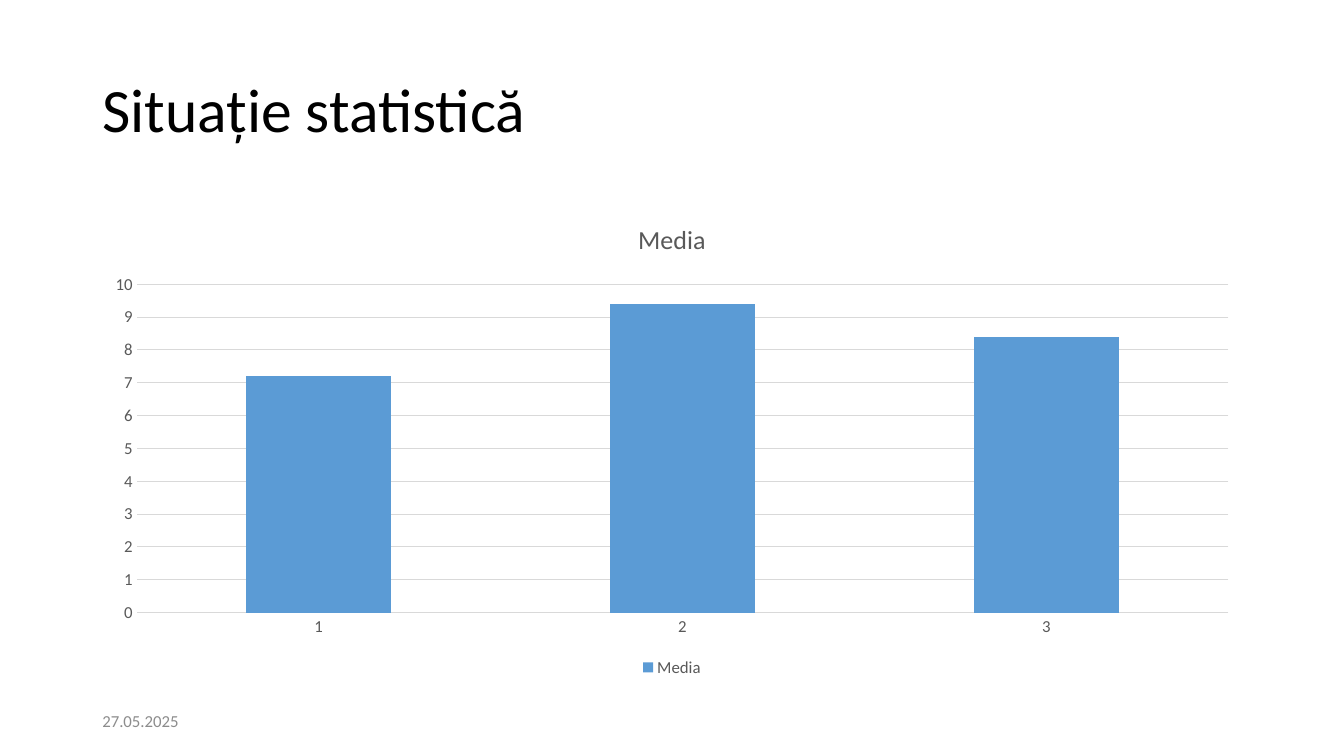
import pptx
import pptx.chart.data
import pptx.dml.color
import pptx.enum.chart
import pptx.enum.text
import pptx.util

PX = 9525  # EMU per px, 96 px to the inch
FONT = "Calibri"
BLACK = pptx.dml.color.RGBColor(0x00, 0x00, 0x00)
DARK_GRAY = pptx.dml.color.RGBColor(0x59, 0x59, 0x59)
DATE_GRAY = pptx.dml.color.RGBColor(0x8C, 0x8C, 0x8C)
GRID_GRAY = pptx.dml.color.RGBColor(0xD9, 0xD9, 0xD9)
BLUE = pptx.dml.color.RGBColor(0x5B, 0x9B, 0xD5)
LEFT, WIDTH = 88, 1104


def style_font(font, size, color):
    font.name = FONT
    font.size = pptx.util.Pt(size)
    font.bold = False
    font.color.rgb = color


def write_line(shape, text, size, color):
    """Set one left-aligned, vertically centred line of text."""
    frame = shape.text_frame
    frame.text = text
    frame.word_wrap = True
    frame.auto_size = pptx.enum.text.MSO_AUTO_SIZE.NONE
    frame.vertical_anchor = pptx.enum.text.MSO_ANCHOR.MIDDLE
    paragraph = frame.paragraphs[0]
    paragraph.alignment = pptx.enum.text.PP_ALIGN.LEFT
    style_font(paragraph.runs[0].font, size, color)


presentation = pptx.Presentation()
presentation.slide_width = 1280 * PX
presentation.slide_height = 720 * PX
slide = presentation.slides.add_slide(presentation.slide_layouts[5])

# Title
title = slide.shapes.title
title.left, title.top = LEFT * PX, 38 * PX
title.width, title.height = WIDTH * PX, 139 * PX
write_line(title, "Situație statistică", 44, BLACK)
title.text_frame.paragraphs[0].line_spacing = 0.9

# Chart
chart_data = pptx.chart.data.CategoryChartData()
chart_data.categories = ["1", "2", "3"]
chart_data.add_series("Media", [7.2, 9.4, 8.4])
chart = slide.shapes.add_chart(
    pptx.enum.chart.XL_CHART_TYPE.COLUMN_CLUSTERED,
    LEFT * PX, 192 * PX, WIDTH * PX, 457 * PX, chart_data,
).chart
style_font(chart.font, 10, BLACK)

chart.has_title = True
chart.chart_title.include_in_layout = False
chart.chart_title.text_frame.text = "Media"
style_font(chart.chart_title.text_frame.paragraphs[0].runs[0].font, 18.6, DARK_GRAY)

chart.has_legend = True
chart.legend.position = pptx.enum.chart.XL_LEGEND_POSITION.BOTTOM
chart.legend.include_in_layout = False
style_font(chart.legend.font, 12, DARK_GRAY)

for axis in (chart.category_axis, chart.value_axis):
    axis.major_tick_mark = pptx.enum.chart.XL_TICK_MARK.NONE
    axis.minor_tick_mark = pptx.enum.chart.XL_TICK_MARK.NONE
    axis.format.line.fill.background()
    style_font(axis.tick_labels.font, 12, DARK_GRAY)
chart.value_axis.minimum_scale = 0
chart.value_axis.maximum_scale = 10
chart.value_axis.major_unit = 1
grid_line = chart.value_axis.major_gridlines.format.line
grid_line.color.rgb = GRID_GRAY
grid_line.width = pptx.util.Pt(0.75)

plot = chart.plots[0]
plot.gap_width = 150
plot.vary_by_categories = False
column_fill = plot.series[0].format.fill
column_fill.solid()
column_fill.fore_color.rgb = BLUE

# Date
date_box = slide.shapes.add_textbox(LEFT * PX, 667 * PX, 288 * PX, 38 * PX)
write_line(date_box, "27.05.2025", 12, DATE_GRAY)

presentation.save("out.pptx")
